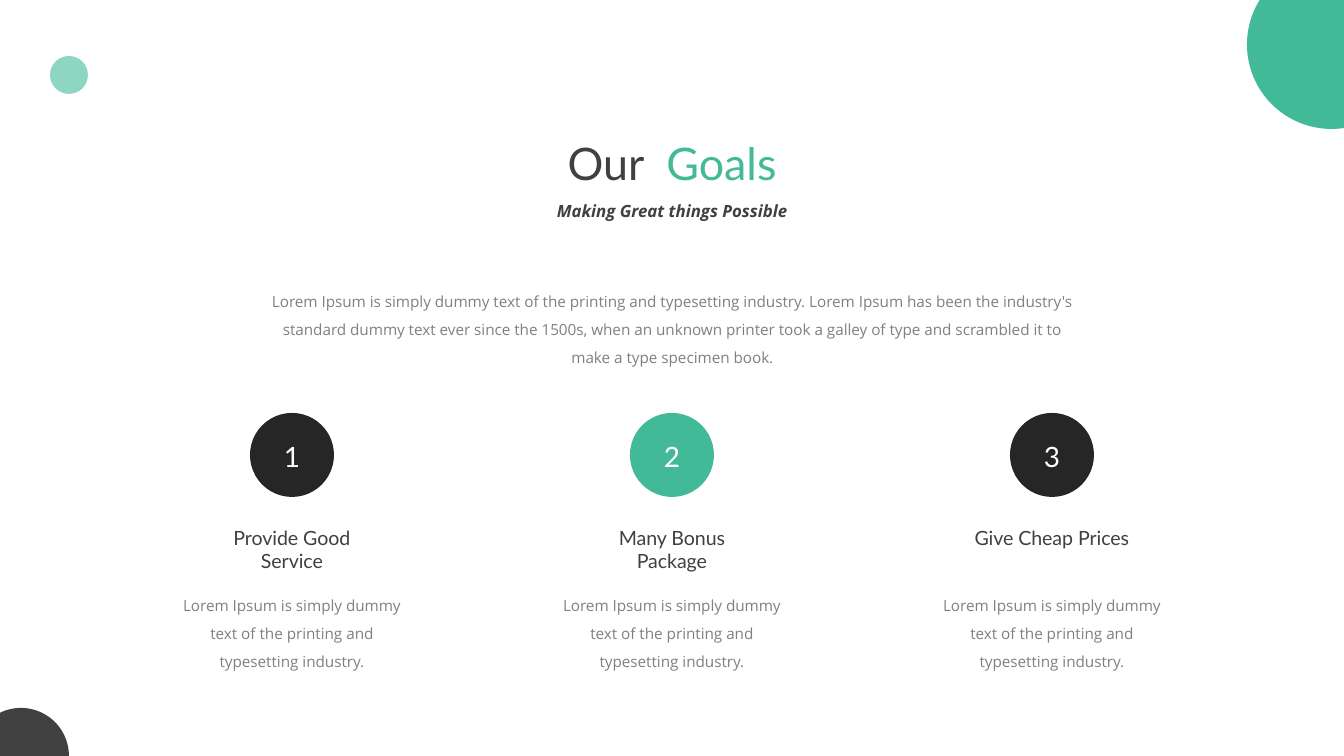
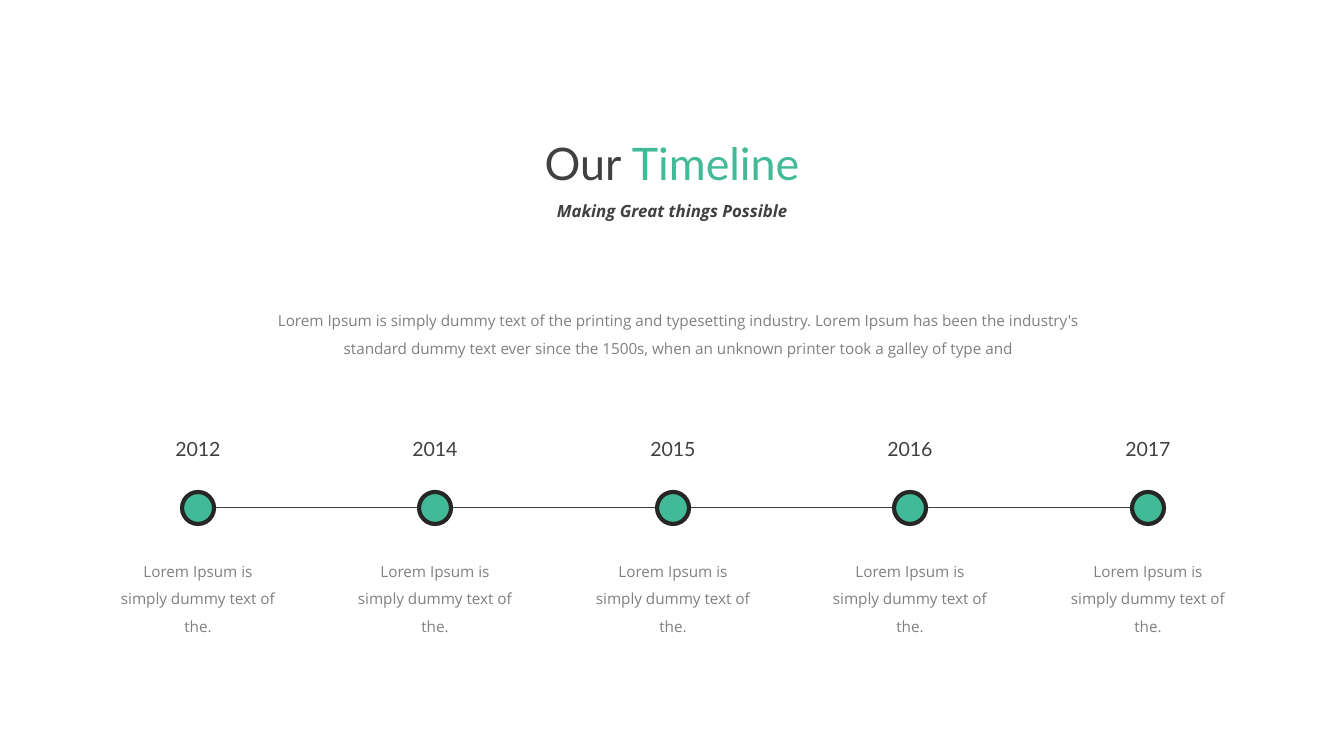
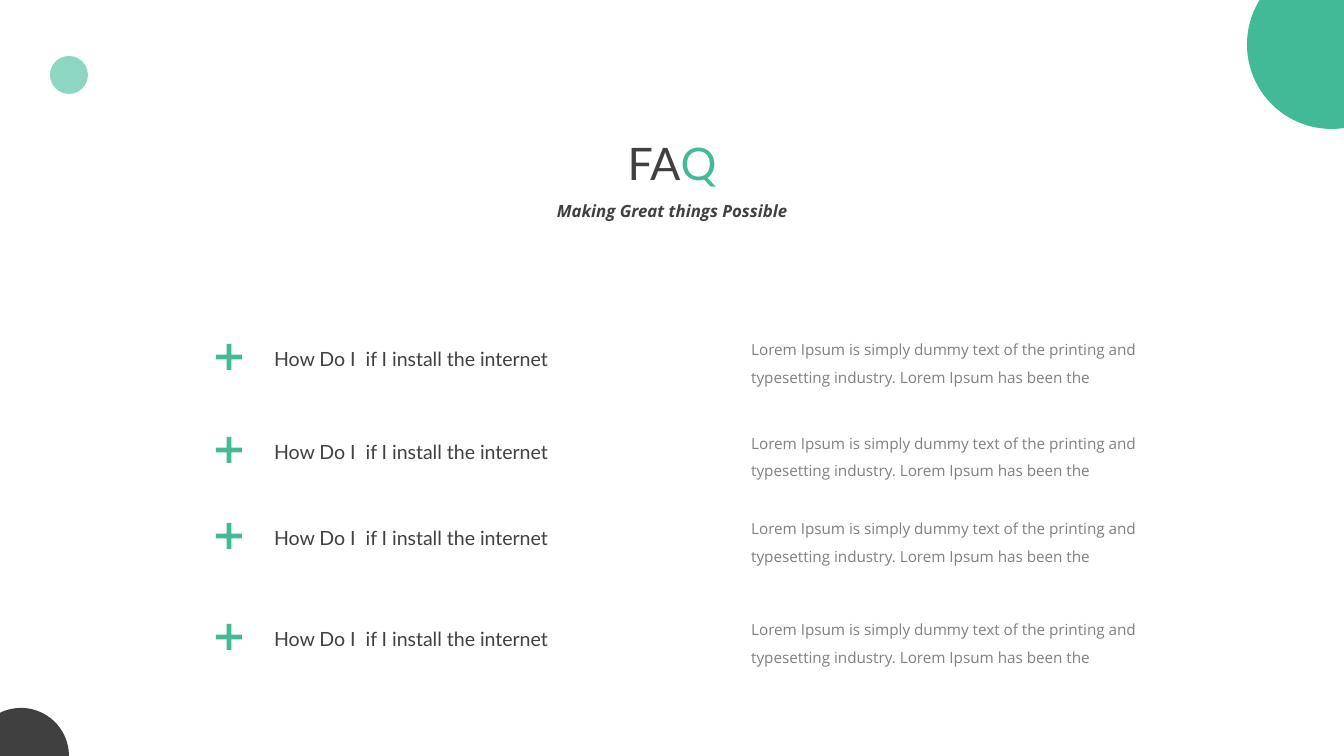
from lxml.etree import SubElement
from pptx import Presentation
from pptx.dml.color import RGBColor
from pptx.enum.shapes import MSO_CONNECTOR as Connector, MSO_SHAPE as Shape
from pptx.enum.text import MSO_AUTO_SIZE as AutoSize, PP_ALIGN as Align
from pptx.oxml.ns import qn
from pptx.util import Emu, Pt

WIDTH, HEIGHT = 1344, 756
MIDDLE = WIDTH // 2
SCALE = 9144000 / WIDTH

GREEN, MINT = "42BA97", "8DD6C1"
CHARCOAL, BLACK, GRAY, WHITE = "404040", "262626", "808080", "FFFFFF"

TITLE = {"name": "Lato", "size": Pt(24)}
TAGLINE = {"name": "Open Sans", "size": Pt(9), "bold": True, "italic": True}
NUMBER = {"name": "Lato", "size": Pt(15)}
HEADING = {"name": "Lato", "size": Pt(10.5)}
BODY = {"name": "Open Sans", "size": Pt(8.2)}

SENTENCE = "Lorem Ipsum\u00a0is simply dummy text of the printing and typesetting industry."
HISTORY = (SENTENCE + " Lorem Ipsum has been the industry's standard dummy text ever since"
           " the 1500s, when an unknown printer took a galley of type and")


def px(length):
    return Emu(round(length * SCALE))


def color(hex_code):
    return RGBColor.from_string(hex_code)


def add_text(shapes, box, runs, style, align=Align.CENTER, spacing=1.0):
    frame = shapes.add_textbox(*map(px, box)).text_frame
    frame.word_wrap = True
    frame.auto_size = AutoSize.SHAPE_TO_FIT_TEXT
    paragraph = frame.paragraphs[0]
    for attribute, value in {"alignment": align, "line_spacing": spacing}.items():
        setattr(paragraph, attribute, value)
    for words, hex_code in runs:
        run = paragraph.add_run()
        run.text = words
        for attribute, value in style.items():
            setattr(run.font, attribute, value)
        run.font.color.rgb = color(hex_code)


def add_heading(shapes, box, words, align=Align.CENTER):
    add_text(shapes, box, [(words, CHARCOAL)], HEADING, align)


def add_body(shapes, box, words, align=Align.CENTER):
    add_text(shapes, box, [(words, GRAY)], BODY, align, 1.5)


def add_figure(shapes, kind, left, top, size, fill, outline=None):
    figure = shapes.add_shape(kind, px(left), px(top), px(size), px(size))
    figure.shadow.inherit = False
    figure.fill.solid()
    figure.fill.fore_color.rgb = color(fill)
    if outline:
        figure.line.color.rgb = color(outline)
        figure.line.width = Pt(2.25)
    else:
        figure.line.fill.background()
    return figure


def add_link(shapes, start, end, y):
    link = shapes.add_connector(Connector.STRAIGHT, px(start), px(y), px(end), px(y))
    link.line.color.rgb = color(CHARCOAL)
    link.line.width = Pt(0.5)
    SubElement(link._element.spPr, qn("a:effectLst"))


def add_page(deck, dark_part, green_part, bubbles=True):
    shapes = deck.slides.add_slide(deck.slide_layouts[6]).shapes
    add_text(shapes, (422, 129, 500, 67),
             [(dark_part, CHARCOAL), (green_part, GREEN)], TITLE)
    add_text(shapes, (515, 194, 314, 34),
             [("Making Great things Possible", CHARCOAL)], TAGLINE)
    if bubbles:
        for left, top, size, fill in [(-27, 708, 96, CHARCOAL), (50, 56, 38, MINT),
                                      (1247, -40, 169, GREEN)]:
            add_figure(shapes, Shape.OVAL, left, top, size, fill)
    return shapes


def add_goals(deck):
    shapes = add_page(deck, "Our  ", "Goals")
    add_body(shapes, (250, 277, 845, 94),
             HISTORY + " scrambled it to make a type specimen book.")
    goals = [("Provide Good Service", BLACK, 60), ("Many Bonus Package", GREEN, 60),
             ("Give Cheap Prices", BLACK, 37)]
    for index, (goal, fill, height) in enumerate(goals):
        center = MIDDLE + (index - 1) * 380
        badge = shapes.add_group_shape().shapes
        add_figure(badge, Shape.OVAL, center - 42, 413, 84, fill)
        add_text(badge, (center - 25, 433, 50, 47), [(str(index + 1), WHITE)], NUMBER)
        add_body(shapes, (center - 130, 581, 260, 94), SENTENCE)
        add_heading(shapes, (center - 97, 519, 194, height), goal)


def add_timeline(deck):
    shapes = add_page(deck, "Our ", "Timeline", bubbles=False)
    add_body(shapes, (247, 296, 863, 67), HISTORY)
    years = ["2012", "2014", "2015", "2016", "2017"]
    first, last, axis, radius = 198, 1148, 508, 16
    centers = [first + (last - first) * index // (len(years) - 1)
               for index in range(len(years))]
    track = shapes.add_group_shape().shapes
    for start, end in zip(centers, centers[1:]):
        add_link(track, start + radius, end - radius, axis)
    for center, year in zip(centers, years):
        add_figure(track, Shape.OVAL, center - radius, axis - radius, 2 * radius,
                   GREEN, BLACK)
        add_heading(track, (center - 67, 430, 134, 37), year)
        add_body(shapes, (center - 92, 546, 184, 94),
                 "Lorem Ipsum\u00a0is simply dummy text of the.")


def add_faq(deck):
    shapes = add_page(deck, "FA", "Q")
    for top in (340, 433, 519, 620):
        add_heading(shapes, (261, top, 345, 37),
                    "How Do I  if I install the internet", Align.LEFT)
        add_body(shapes, (738, top - 15, 462, 67),
                 SENTENCE + " Lorem Ipsum has been the", Align.LEFT)
        plus = add_figure(shapes, Shape.CROSS, 216, top + 4, 26, GREEN)
        plus.adjustments[0] = 0.41


def main():
    deck = Presentation()
    deck.slide_width, deck.slide_height = px(WIDTH), px(HEIGHT)
    add_goals(deck)
    add_timeline(deck)
    add_faq(deck)
    deck.save("out.pptx")


main()
